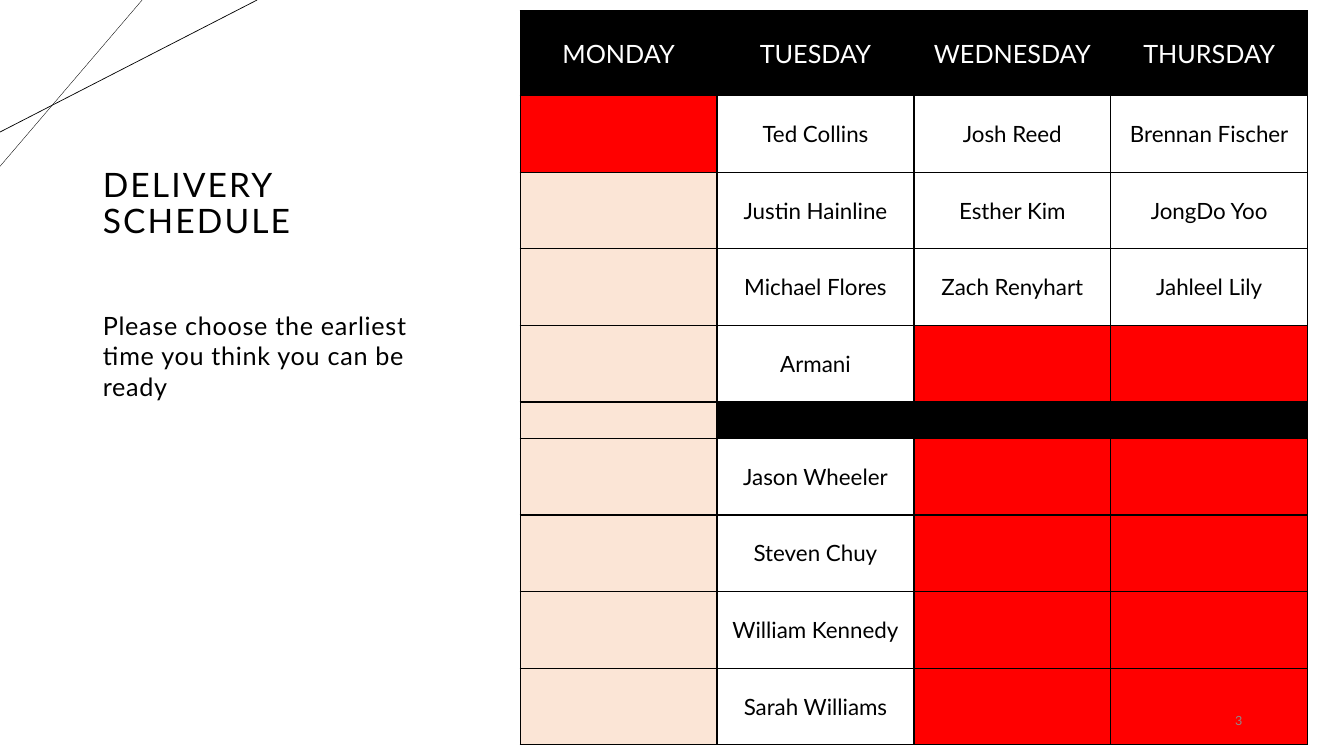
from lxml import etree
from pptx import Presentation
from pptx import util as u
from pptx.dml.color import RGBColor
from pptx.enum import shapes, text
from pptx.oxml import ns

HUES = {"ink": "000000", "paper": "FFFFFF", "red": "FF0000",
        "peach": "FBE5D6", "gray": "8C8C8C"}
DAYS = ["MONDAY", "TUESDAY", "WEDNESDAY", "THURSDAY"]
SLOTS = [
    ["red", "Ted Collins", "Josh Reed", "Brennan Fischer"],
    ["peach", "Justin Hainline", "Esther Kim", "JongDo Yoo"],
    ["peach", "Michael Flores", "Zach Renyhart", "Jahleel Lily"],
    ["peach", "Armani", "red", "red"],
    ["peach", "ink", "ink", "ink"],
    ["peach", "Jason Wheeler", "red", "red"],
    ["peach", "Steven Chuy", "red", "red"],
    ["peach", "William Kennedy", "red", "red"],
    ["peach", "Sarah Williams", "red", "red"],
]
BREAK = 5


class Deck:
    """Holds the style and the current slide, and draws each kind of element."""

    def __init__(self, slide, font="Lato"):
        self.slide = slide
        self.font = font

    def hue(self, name):
        return RGBColor.from_string(HUES[name])

    def add_run(self, par, words, size, color="ink", gap=0, align=text.PP_ALIGN.LEFT):
        par.alignment = align
        run = par.add_run()
        run.text = words
        run.font.size = u.Pt(size)
        run.font.name = self.font
        run.font.color.rgb = self.hue(color)
        if gap:
            run._r.get_or_add_rPr().set("spc", str(int(gap * 100)))

    def line(self, start, end, width):
        ends = [u.Inches(n) for n in start + end]
        line = self.slide.shapes.add_connector(shapes.MSO_CONNECTOR.STRAIGHT, *ends)
        line.line.color.rgb = self.hue("ink")
        line.line.width = u.Pt(width)
        etree.SubElement(line._element.spPr, ns.qn("a:effectLst"))

    def place(self, shape, box, anchor):
        shape.left, shape.top, shape.width, shape.height = map(u.Inches, box)
        frame = shape.text_frame
        frame.word_wrap = True
        frame.auto_size = text.MSO_AUTO_SIZE.NONE
        frame.vertical_anchor = anchor
        return frame

    def title(self, words, box):
        frame = self.place(self.slide.shapes.title, box, text.MSO_ANCHOR.MIDDLE)
        par = frame.paragraphs[0]
        par.line_spacing = 0.9
        self.add_run(par, words, 24, gap=1.5)

    def body(self, words, box):
        frame = self.place(self.slide.placeholders[1], box, text.MSO_ANCHOR.TOP)
        frame.margin_top = 0
        par = frame.paragraphs[0]
        par.space_before = u.Pt(10)
        self.add_run(par, words, 18, gap=0.5)
        props = par._p.get_or_add_pPr()
        props.set("marL", "0")
        props.set("indent", "0")
        etree.SubElement(props, ns.qn("a:buNone"))

    def label(self, words, box):
        shape = self.slide.shapes.add_textbox(*map(u.Inches, box))
        frame = self.place(shape, box, text.MSO_ANCHOR.MIDDLE)
        self.add_run(frame.paragraphs[0], words, 9, "gray", align=text.PP_ALIGN.RIGHT)

    def edge(self, cell):
        props = cell._tc.get_or_add_tcPr()
        for side in ("lnL", "lnR", "lnT", "lnB"):
            rule = etree.SubElement(props, ns.qn("a:" + side), w=str(u.Pt(1)))
            fill = etree.SubElement(rule, ns.qn("a:solidFill"))
            etree.SubElement(fill, ns.qn("a:srgbClr"), val=HUES["ink"])

    def cell(self, cell, words, size, fill, color):
        self.edge(cell)
        cell.fill.solid()
        cell.fill.fore_color.rgb = self.hue(fill)
        cell.vertical_anchor = text.MSO_ANCHOR.MIDDLE
        cell.margin_top = cell.margin_bottom = u.Inches(0.02)
        if words:
            par = cell.text_frame.paragraphs[0]
            self.add_run(par, words, size, color, align=text.PP_ALIGN.CENTER)

    def table(self, days, slots, box):
        size = len(slots) + 1, len(days)
        grid = self.slide.shapes.add_table(*size, *map(u.Inches, box)).table
        grid.first_row = grid.horz_banding = False
        for row in grid.rows:
            row.height = u.Inches(0.76)
        grid.rows[0].height = u.Inches(0.84)
        grid.rows[BREAK].height = u.Inches(0.36)
        for col, day in enumerate(days):
            self.cell(grid.cell(0, col), day, 18, "ink", "paper")
        for row, names in enumerate(slots, 1):
            for col, name in enumerate(names):
                fill, words = (name, "") if name in HUES else ("paper", name)
                self.cell(grid.cell(row, col), words, 16, fill, "ink")


def main():
    show = Presentation()
    show.slide_width, show.slide_height = u.Inches(13.33), u.Inches(7.5)
    deck = Deck(show.slides.add_slide(show.slide_layouts[1]))
    deck.line((1.41, 0), (0, 1.65), 0.25)
    deck.line((2.55, 0), (0, 1.31), 0.5)
    deck.title("DELIVERY SCHEDULE", (0.92, 0.98, 3.55, 2.1))
    deck.body("Please choose the earliest time you think you can be ready",
              (0.92, 3.08, 3.55, 3.54))
    deck.table(DAYS, SLOTS, (5.16, 0.11, 7.81, 7.26))
    deck.label("3", (11.34, 6.95, 1.08, 0.4))
    show.save("out.pptx")


if __name__ == "__main__":
    main()
